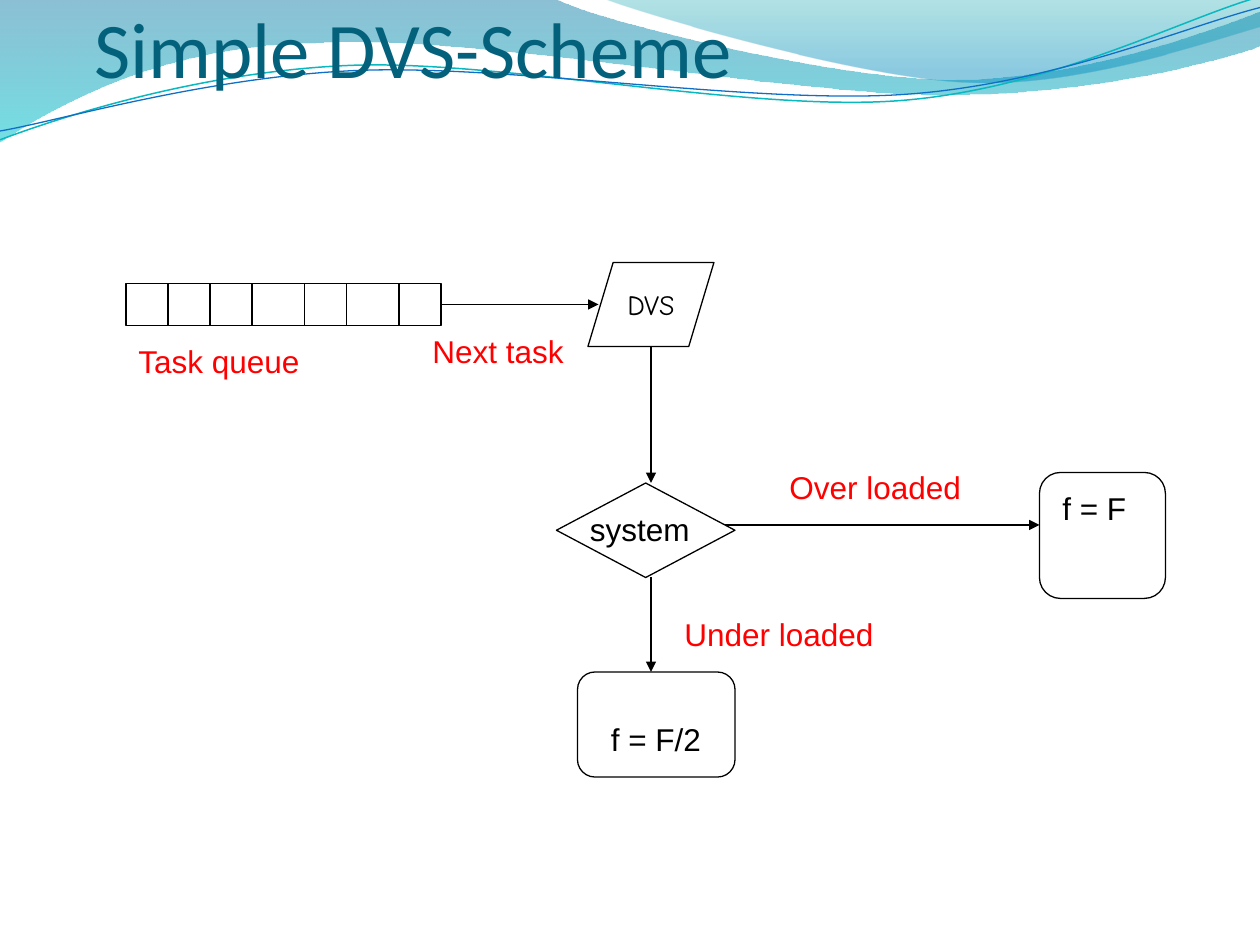
from lxml import etree
from pptx import Presentation
from pptx import util as u
from pptx.dml.color import RGBColor
from pptx.enum import shapes, text
from pptx.oxml.ns import qn

WIDTH, HEIGHT = u.Inches(10), u.Inches(7.5)
CELL = WIDTH / 120  # the grid has 120 columns and 90 rows
PERCENT = WIDTH / 100  # the waves are drawn in hundredths of the slide's width

BLACK = RGBColor(0x00, 0x00, 0x00)
WHITE = RGBColor(0xFF, 0xFF, 0xFF)
RED = RGBColor(0xFF, 0x00, 0x00)
TITLE_TEAL = RGBColor(0x04, 0x61, 0x7B)
DEEP_BLUE = RGBColor(0x00, 0x74, 0xA1)
CYAN = RGBColor(0x00, 0xC6, 0xCF)
TEAL = RGBColor(0x00, 0xA1, 0xA9)
SKY_BLUE = RGBColor(0x00, 0x8B, 0xBF)
LINE_TEAL = RGBColor(0x0A, 0xB8, 0xBF)
LINE_BLUE = RGBColor(0x0F, 0x6F, 0xC6)

# After the start point, one point makes a straight edge and three make a Bezier curve.
LEFT_BAND = [
    [(0, -0.1)],
    [(44, -0.1)],
    [(47.6, 1.7), (66.4, 6.3), (75.8, 6.3)],
    [(85.3, 6.3), (95.8, 2.6), (100, 0.9)],
    [(100.1, 3.6)],
    [(98.3, 4.4), (87, 7.6), (74.6, 7.5)],
    [(62.2, 7.5), (38.2, 2.8), (25.7, 3.4)],
    [(12.9, 3.5), (4.6, 8.3), (-0.1, 11.3)],
]
RIGHT_BAND = [
    [(47.9, -0.1)],
    [(50.9, 1.1), (68.2, 6.2), (76.9, 6.5)],
    [(85.6, 6.9), (96.1, 3.2), (100, 2.1)],
    [(100, 0)],
]
TEAL_WAVE = [
    [(0, 11.1)],
    [(4.8, 9.3), (15.8, 5.7), (27.7, 5.2)],
    [(39.5, 4.7), (59.3, 8.9), (71.3, 8)],
    [(83.3, 7.1), (93.8, 1.5), (99.8, -0.2)],
]
BLUE_WAVE = [
    [(0, 10.4)],
    [(4.7, 9.6), (16.4, 6.1), (28.3, 5.6)],
    [(40.3, 5.1), (59.7, 8.3), (71.7, 7.5)],
    [(83.6, 6.7), (94.1, 2.1), (100, 0.6)],
]


def grid(*cells):
    return [round(cell * CELL) for cell in cells]


def add_outline(slide, segments, closed):
    """Add a freeform, then turn each group of three edges into one curve."""
    points = [(round(x * PERCENT), round(y * PERCENT))
              for segment in segments for x, y in segment]
    builder = slide.shapes.build_freeform(*points[0])
    builder.add_line_segments(points[1:], close=closed)
    shape = builder.convert_to_shape()
    shape.shadow.inherit = False
    edges = iter(list(shape._element.iter(qn("a:lnTo"))))
    for segment in segments[1:]:
        group = [next(edges) for point in segment]
        if len(group) == 3:
            curve = etree.Element(qn("a:cubicBezTo"))
            group[0].addprevious(curve)
            for edge in group:
                curve.append(edge[0])
                edge.getparent().remove(edge)
    return shape


def add_band(slide, segments, stops):
    """Add a see-through band; each stop is (position, colour, opacity in percent)."""
    band = add_outline(slide, segments, True)
    band.line.fill.background()
    band.fill.gradient()
    band.fill.gradient_angle = 270
    for stop, (position, color, opacity) in zip(band.fill.gradient_stops, stops):
        stop.position = position
        stop.color.rgb = color
    colors = band._element.spPr.iter(qn("a:srgbClr"))
    for element, (position, color, opacity) in zip(colors, stops):
        etree.SubElement(element, qn("a:alpha"), val=str(opacity * 1000))


def add_wave(slide, segments, color, width):
    wave = add_outline(slide, segments, False)
    wave.fill.background()
    wave.line.color.rgb = color
    wave.line.width = u.Pt(width)


def write(shape, words, size=18, font="Arial", color=BLACK, align=text.PP_ALIGN.LEFT,
          anchor=text.MSO_ANCHOR.TOP, wrap=True):
    frame = shape.text_frame
    frame.word_wrap = wrap
    frame.vertical_anchor = anchor
    paragraph = frame.paragraphs[0]
    paragraph.text = words
    paragraph.alignment = align
    paragraph.space_before = u.Pt(0)
    paragraph.font.size = u.Pt(size)
    paragraph.font.name = font
    paragraph.font.color.rgb = color


def add_node(slide, preset, column, row, columns, rows):
    node = slide.shapes.add_shape(preset, *grid(column, row, columns, rows))
    node.shadow.inherit = False
    node.fill.solid()
    node.fill.fore_color.rgb = WHITE
    node.line.color.rgb = BLACK
    node.line.width = u.Pt(0.75)
    return node


def add_line(slide, start, end, arrow=False):
    line = slide.shapes.add_connector(shapes.MSO_CONNECTOR.STRAIGHT, *grid(*start, *end))
    line.line.color.rgb = BLACK
    line.line.width = u.Pt(0.75)
    if arrow:
        etree.SubElement(line.line._get_or_add_ln(), qn("a:tailEnd"), type="triangle")
    etree.SubElement(line._element.spPr, qn("a:effectLst"))
    return line


def add_label(slide, words, column, row, columns, color=RED):
    label = slide.shapes.add_textbox(*grid(column, row, columns, 4.8))
    write(label, words, color=color)


def add_title(slide, words):
    title = slide.shapes.title
    title.left, title.top, title.width, title.height = grid(9, 2, 100.2, 7)
    frame = title.text_frame
    frame.auto_size = text.MSO_AUTO_SIZE.NONE
    frame.margin_left = frame.margin_right = frame.margin_bottom = 0
    write(title, words, size=45, font="Calibri", color=TITLE_TEAL,
          anchor=text.MSO_ANCHOR.BOTTOM)
    slide.shapes._spTree.append(title._element)  # in front of the waves


def add_queue(slide):
    queue = add_node(slide, shapes.MSO_SHAPE.RECTANGLE, 12, 27, 30, 4)
    for column in (16, 20, 24, 29, 33, 38):
        add_line(slide, (column, 27), (column, 31))
    return queue


def main():
    presentation = Presentation()
    presentation.slide_width, presentation.slide_height = WIDTH, HEIGHT
    slide = presentation.slides.add_slide(presentation.slide_layouts[5])

    add_band(slide, LEFT_BAND, [(0, DEEP_BLUE, 45), (1, CYAN, 55)])
    add_band(slide, RIGHT_BAND, [(0, TEAL, 30), (0.8, SKY_BLUE, 45)])
    add_wave(slide, TEAL_WAVE, LINE_TEAL, 0.85)
    add_wave(slide, BLUE_WAVE, LINE_BLUE, 0.75)
    add_title(slide, "Simple DVS-Scheme")

    preset = shapes.MSO_SHAPE
    scheduler = add_node(slide, preset.FLOWCHART_DATA, 56, 25, 12, 8)
    write(scheduler, "DVS", size=16, font="Comic Neue", align=text.PP_ALIGN.CENTER,
          anchor=text.MSO_ANCHOR.MIDDLE, wrap=False)
    add_node(slide, preset.FLOWCHART_DECISION, 53, 46, 17, 9)
    add_node(slide, preset.FLOWCHART_ALTERNATE_PROCESS, 55, 64, 15, 10)
    add_node(slide, preset.ROUNDED_RECTANGLE, 99, 45, 12, 12)
    queue = add_queue(slide)

    next_task = add_line(slide, (42, 29), (57, 29), arrow=True)
    next_task.begin_connect(queue, 3)
    add_line(slide, (62, 33), (62, 46), arrow=True)
    add_line(slide, (62, 55), (62, 64), arrow=True)
    add_line(slide, (69, 50), (99, 50), arrow=True)

    add_label(slide, "Task queue", 12, 32, 20)
    add_label(slide, "Next task", 40, 31, 15)
    add_label(slide, "Over loaded", 74, 44, 22)
    add_label(slide, "Under loaded", 64, 58, 27)
    add_label(slide, "system", 55, 48, 15, BLACK)
    add_label(slide, "f = F/2", 57, 68, 13, BLACK)
    add_label(slide, "f = F", 100, 46, 10, BLACK)

    presentation.save("out.pptx")


if __name__ == "__main__":
    main()
